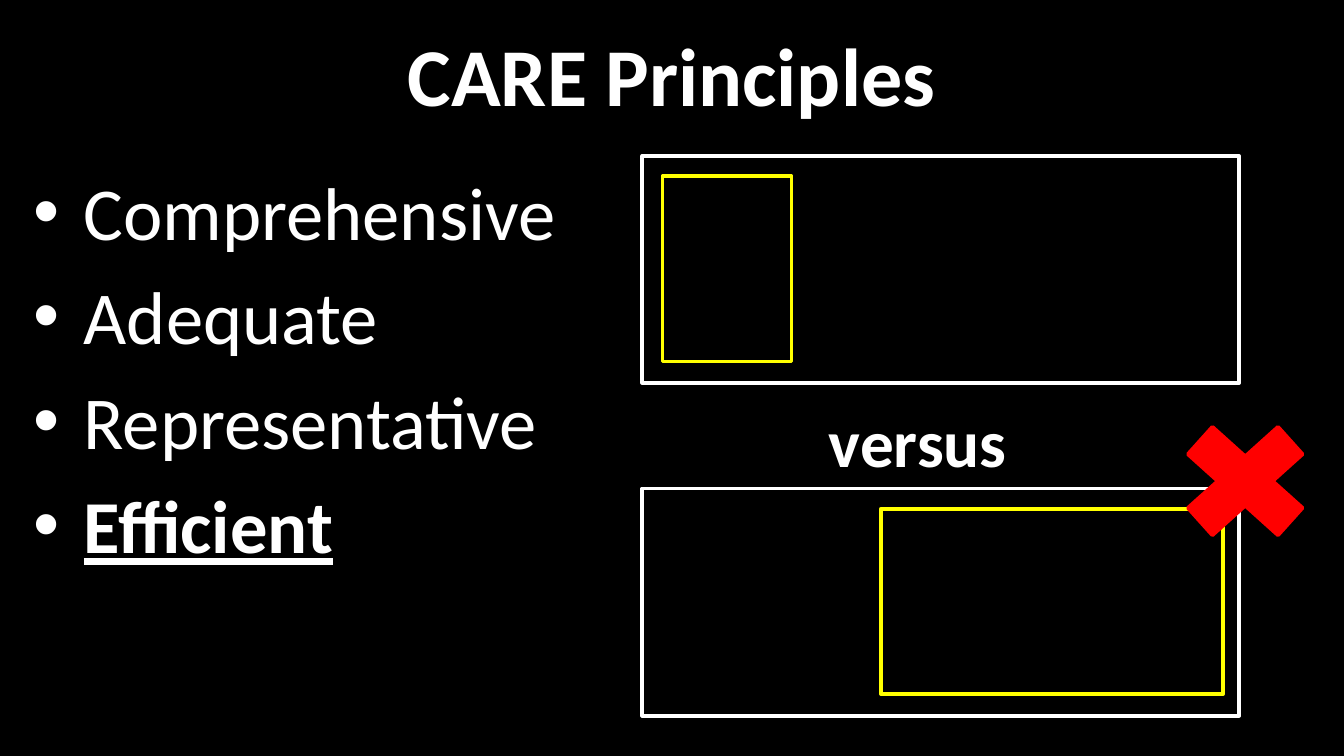
"""Builds the CARE Principles slide, measured at 200 px to the inch."""
from lxml import etree
from pptx import Presentation, util as u
from pptx.dml.color import RGBColor
from pptx.enum import shapes, text
from pptx.oxml.ns import qn

PX = u.Inches(1) // 200
BLACK = RGBColor(0x00, 0x00, 0x00)
WHITE = RGBColor(0xFF, 0xFF, 0xFF)
YELLOW = RGBColor(0xFF, 0xFF, 0x00)
RED = RGBColor(0xFF, 0x00, 0x00)


class Deck:
    font = "Calibri"
    line_width = u.Pt(2)
    indent = 75

    def __init__(self, width, height):
        self.prs = Presentation()
        self.prs.slide_width, self.prs.slide_height = width * PX, height * PX
        self.s = self.prs.slides.add_slide(self.prs.slide_layouts[6])
        fill = self.s.background.fill
        fill.solid()
        fill.fore_color.rgb = BLACK

    def frame(self, x, y, w, h, wrap=True):
        tf = self.s.shapes.add_textbox(x * PX, y * PX, w * PX, h * PX).text_frame
        tf.word_wrap = wrap
        return tf

    def run(self, p, words, size, bold=False, underline=None):
        r = p.add_run()
        r.text = words
        f = r.font
        f.name, f.size, f.bold, f.underline = self.font, u.Pt(size), bold, underline
        f.color.rgb = WHITE

    def title(self, box, words):
        tf = self.frame(*box)
        tf.vertical_anchor = text.MSO_ANCHOR.MIDDLE
        p = tf.paragraphs[0]
        p.alignment = text.PP_ALIGN.CENTER
        self.run(p, words, 44, bold=True)

    def label(self, box, words):
        tf = self.frame(*box, wrap=False)
        tf.auto_size = text.MSO_AUTO_SIZE.SHAPE_TO_FIT_TEXT
        self.run(tf.paragraphs[0], words, 36, bold=True)

    def bullets(self, box, items, stressed):
        tf = self.frame(*box)
        for i, item in enumerate(items):
            p = tf.add_paragraph() if i else tf.paragraphs[0]
            if i:
                p.space_before = u.Pt(8)
            pPr = p._p.get_or_add_pPr()
            pPr.set("marL", str(self.indent * PX))
            pPr.set("indent", str(-self.indent * PX))
            etree.SubElement(pPr, qn("a:buFont")).set("typeface", "Arial")
            etree.SubElement(pPr, qn("a:buChar")).set("char", "•")
            strong = item == stressed
            self.run(p, item, 40, bold=strong, underline=strong or None)

    def shape(self, kind, box, line, fill=None):
        sp = self.s.shapes.add_shape(kind, *(v * PX for v in box))
        sp.shadow.inherit = False
        if fill is None:
            sp.fill.background()
        else:
            sp.fill.solid()
            sp.fill.fore_color.rgb = fill
        sp.line.color.rgb = line
        sp.line.width = self.line_width


def main():
    deck = Deck(2000, 1125)
    rect = shapes.MSO_SHAPE.RECTANGLE
    deck.title((100, 16, 1800, 188), "CARE Principles")
    deck.bullets((30, 237, 936, 788),
                 ("Comprehensive", "Adequate", "Representative", "Efficient"),
                 stressed="Efficient")
    deck.label((1214, 586, 308, 142), "versus")
    for top, left, width in ((232, 986, 192), (727, 1311, 509)):
        deck.shape(rect, (956, top, 888, 338), WHITE, BLACK)
        deck.shape(rect, (left, top + 30, width, 276), YELLOW)
    deck.shape(shapes.MSO_SHAPE.MATH_MULTIPLY, (1724, 600, 258, 232), RED, RED)
    deck.prs.save("out.pptx")


if __name__ == "__main__":
    main()
